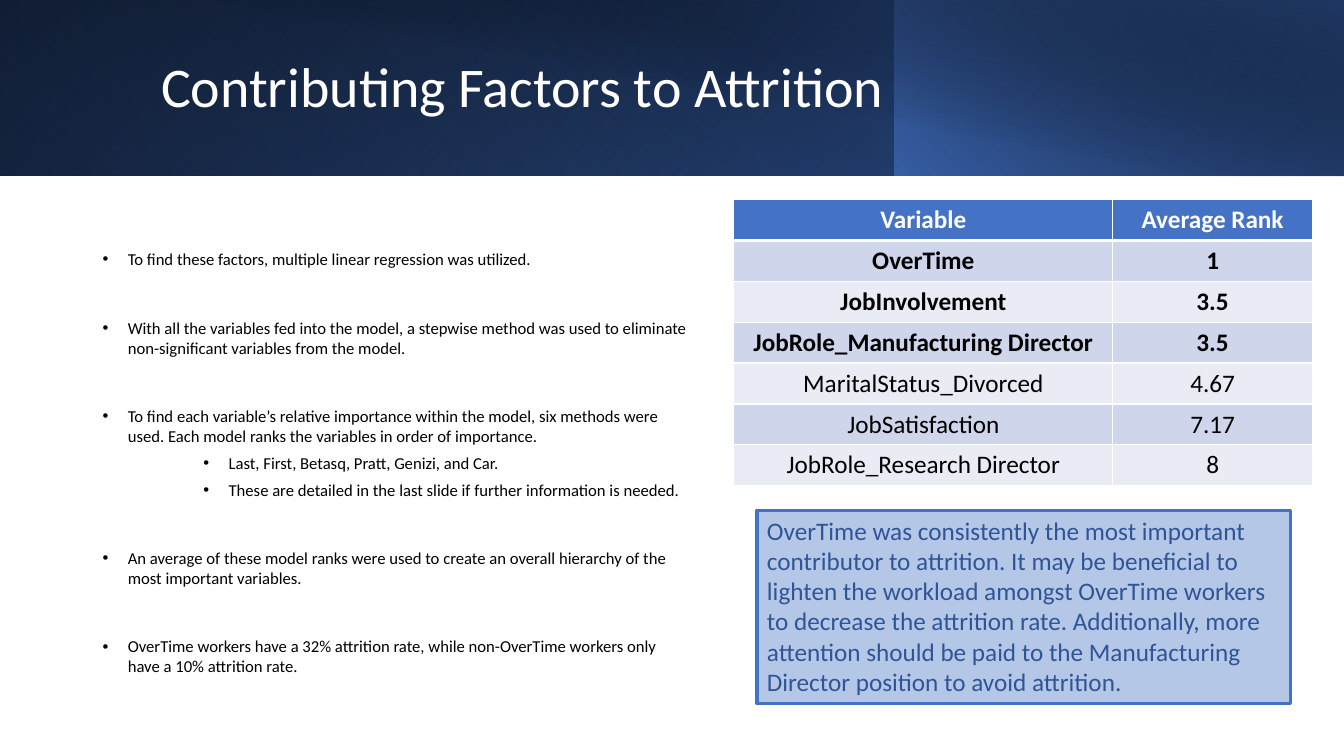
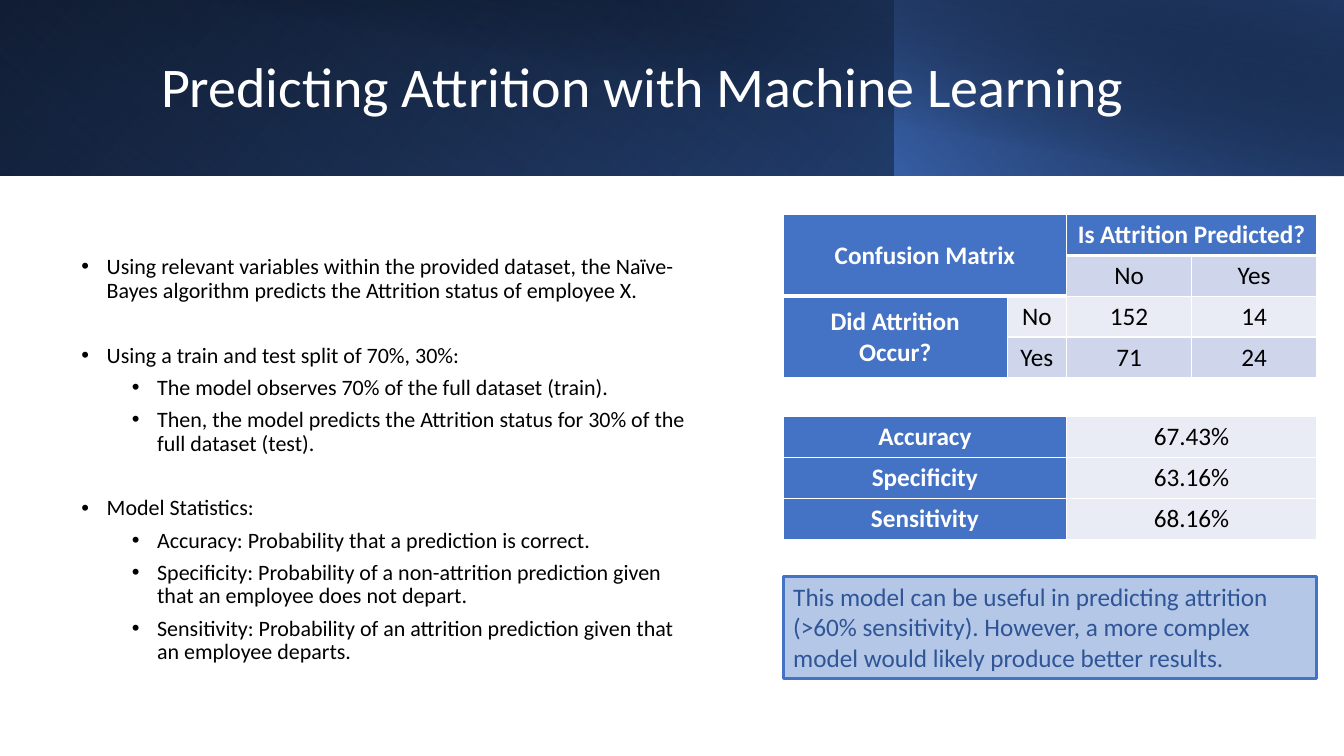
from lxml import etree
from pptx import Presentation
from pptx.dml.color import RGBColor
from pptx.enum.shapes import MSO_SHAPE
from pptx.enum.text import MSO_ANCHOR, MSO_AUTO_SIZE, PP_ALIGN
from pptx.oxml.ns import qn
from pptx.util import Inches, Pt

RECT = MSO_SHAPE.RECTANGLE
MIDDLE, TOP = MSO_ANCHOR.MIDDLE, MSO_ANCHOR.TOP
LEFT, CENTER = PP_ALIGN.LEFT, PP_ALIGN.CENTER
GROW = MSO_AUTO_SIZE.SHAPE_TO_FIT_TEXT
FONT = "Calibri"
C = {"white": "FFFFFF", "black": "000000", "blue": "4472C4", "deep": "2F5597",
     "navy": "203864", "pale": "B4C7E7", "dark_row": "CFD5EA", "light_row": "E9EBF5"}

# Boxes are left, top, width, height in percent of the slide.
# Each band: box, rotation, flip, gradient angle, stops (position, colour, opacity).
BANDS = [
    ((0, 0, 100, 23.2), 0, True, 140, [(0, "black", 100), (100, "deep", 100)]),
    ((0, 0, 66.6, 23.2), 180, True, 230, [(20, "blue", 0), (100, "navy", 55)]),
    ((66.53, 0, 33.47, 23.2), 0, True, 220, [(0, "blue", 66), (100, "black", 30)]),
    ((3.75, 0, 96.25, 23.33), 0, False, 280, [(50, "black", 0), (99, "navy", 52)]),
]
TITLE_BOX = (11.25, 4.27, 81.15, 15.07)

# Cell kinds: fill, text colour, bold.
# H = header with a thick rule, S = side header, D/L = bold rows, d/l = plain rows.
KINDS = {"H": ("blue", "white", True), "S": ("blue", "white", True),
         "D": ("dark_row", "black", True), "L": ("light_row", "black", True),
         "d": ("dark_row", "black", False), "l": ("light_row", "black", False)}


def rgb(name):
    """Return the named colour."""
    return RGBColor.from_string(C[name])


def add_xml(parent, tag, **attrs):
    """Append a drawing element and return it."""
    return etree.SubElement(parent, qn(tag), {k: str(v) for k, v in attrs.items()})


def write(p, text, size=18, color="black", bold=False, align=LEFT,
          line=None, before=0, after=0):
    """Put formatted text into a paragraph."""
    p.alignment = align
    p.space_before, p.space_after = Pt(before), Pt(after)
    if line:
        p.line_spacing = line
    r = p.add_run()
    r.text = text
    r.font.name, r.font.size, r.font.bold = FONT, Pt(size), bold
    r.font.color.rgb = rgb(color)


def bullet(p, margin):
    """Give a paragraph a hanging round bullet."""
    pPr = p._p.get_or_add_pPr()
    pPr.set("marL", str(Inches(margin)))
    pPr.set("indent", str(Inches(-0.25)))
    add_xml(pPr, "a:buFont", typeface="Arial")
    add_xml(pPr, "a:buChar", char="•")


def border(cell, top, bottom):
    """Draw white cell borders, with top and bottom widths in points."""
    tcPr = cell._tc.get_or_add_tcPr()
    for side, width in (("L", 1), ("R", 1), ("T", top), ("B", bottom)):
        ln = add_xml(tcPr, "a:ln" + side, w=Pt(width))
        add_xml(add_xml(ln, "a:solidFill"), "a:srgbClr", val=C["white"])


class Deck:
    """Holds the shared style and the current slide."""

    def __init__(self):
        """Start a widescreen presentation."""
        self.prs = Presentation()
        self.prs.slide_width, self.prs.slide_height = Inches(13.33), Inches(7.5)
        self.s = None

    def box(self, left, top, width, height):
        """Turn percentages of the slide into lengths."""
        w, h = self.prs.slide_width, self.prs.slide_height
        return [round(n * full / 100)
                for n, full in ((left, w), (top, h), (width, w), (height, h))]

    def slide(self, title):
        """Add a slide with its gradient band and title."""
        self.s = self.prs.slides.add_slide(self.prs.slide_layouts[6])
        for band in BANDS:
            self.band(*band)
        tf = self.text_frame(TITLE_BOX)
        write(tf.paragraphs[0], title, size=40, color="white", line=0.9)

    def band(self, box, rotation, flip, angle, stops):
        """Add a gradient rectangle."""
        sp = self.s.shapes.add_shape(RECT, *self.box(*box))
        sp.rotation = rotation
        sp.shadow.inherit = False
        sp.line.fill.background()
        spPr = sp._element.spPr
        if flip:
            spPr.find(qn("a:xfrm")).set("flipH", "1")
        grad = etree.Element(qn("a:gradFill"), rotWithShape="1")
        gs_list = add_xml(grad, "a:gsLst")
        for position, color, opacity in stops:
            gs = add_xml(gs_list, "a:gs", pos=position * 1000)
            clr = add_xml(gs, "a:srgbClr", val=C[color])
            if opacity < 100:
                add_xml(clr, "a:alpha", val=opacity * 1000)
        add_xml(grad, "a:lin", ang=angle * 60000, scaled=0)
        spPr.find(qn("a:prstGeom")).addnext(grad)

    def text_frame(self, box):
        """Add a wrapping, vertically centred text box."""
        tf = self.s.shapes.add_textbox(*self.box(*box)).text_frame
        tf.word_wrap = True
        tf.vertical_anchor = MIDDLE
        return tf

    def bullets(self, box, items, size, margins, before, gap, after=0, line=None):
        """Add bullets from (level, text); a gap parts the top-level items."""
        tf = self.text_frame(box)
        for i, (level, text) in enumerate(items):
            p = tf.add_paragraph() if i else tf.paragraphs[0]
            p.level = level
            extra = gap if i and level == 0 else 0
            write(p, text, size=size, before=before[level] + extra,
                  after=after, line=line)
            bullet(p, margins[level])

    def table(self, box, widths, kinds, rows, merges=()):
        """Add a table; kinds holds one letter per cell."""
        left, top, width, height = self.box(*box)
        table = self.s.shapes.add_table(len(rows), len(widths), left, top,
                                        width, height).table
        table.first_row = table.horz_banding = False
        for column, share in zip(table.columns, widths):
            column.width = round(width * share / sum(widths))
        for r, row in enumerate(rows):
            for c, text in enumerate(row):
                cell, kind = table.cell(r, c), kinds[r][c]
                fill, color, bold = KINDS[kind]
                under_header = r and kinds[r - 1][c] == "H"
                border(cell, 3 if under_header else 1, 3 if kind == "H" else 1)
                cell.fill.solid()
                cell.fill.fore_color.rgb = rgb(fill)
                if text:
                    write(cell.text_frame.paragraphs[0], text, color=color,
                          bold=bold, align=CENTER)
        for first, last in merges:
            table.cell(*first).merge(table.cell(*last))
            table.cell(*first).vertical_anchor = MIDDLE

    def note(self, box, text):
        """Add a pale framed conclusion."""
        sp = self.s.shapes.add_shape(RECT, *self.box(*box))
        sp.shadow.inherit = False
        sp.fill.solid()
        sp.fill.fore_color.rgb = rgb("pale")
        sp.line.color.rgb = rgb("blue")
        sp.line.width = Pt(2.25)
        tf = sp.text_frame
        tf.word_wrap, tf.auto_size, tf.vertical_anchor = True, GROW, TOP
        write(tf.paragraphs[0], text, color="deep")


def factors(deck):
    """Build the slide on contributing factors."""
    deck.slide("Contributing Factors to Attrition")
    deck.bullets((6.9, 30, 45.3, 62.4), [
        (0, "To find these factors, multiple linear regression was utilized."),
        (0, "With all the variables fed into the model, a stepwise method was used "
            "to eliminate non-significant variables from the model."),
        (0, "To find each variable’s relative importance within the model, six "
            "methods were used. Each model ranks the variables in order of "
            "importance."),
        (1, "Last, First, Betasq, Pratt, Genizi, and Car."),
        (1, "These are detailed in the last slide if further information is needed."),
        (0, "An average of these model ranks were used to create an overall "
            "hierarchy of the most important variables."),
        (0, "OverTime workers have a 32% attrition rate, while non-OverTime workers "
            "only have a 10% attrition rate."),
    ], size=11.9, margins=(0.25, 1.25), before=(10, 5), gap=24.5)
    deck.table((54.6, 26.4, 43.05, 37.87), (3.76, 1.98),
               ("HH", "DD", "LL", "DD", "ll", "dd", "ll"), [
        ("Variable", "Average Rank"),
        ("OverTime", "1"),
        ("JobInvolvement", "3.5"),
        ("JobRole_Manufacturing Director", "3.5"),
        ("MaritalStatus_Divorced", "4.67"),
        ("JobSatisfaction", "7.17"),
        ("JobRole_Research Director", "8"),
    ])
    deck.note((56.33, 67.47, 39.68, 25.6),
              "OverTime was consistently the most important contributor to "
              "attrition. It may be beneficial to lighten the workload amongst "
              "OverTime workers to decrease the attrition rate. Additionally, more "
              "attention should be paid to the Manufacturing Director position to "
              "avoid attrition.")


def prediction(deck):
    """Build the slide on predicting attrition."""
    left, width = 58.28, 39.68
    deck.slide("Predicting Attrition with Machine Learning")
    deck.bullets((4.88, 30.93, 47.03, 59.87), [
        (0, "Using relevant variables within the provided dataset, the Naïve-Bayes "
            "algorithm predicts the Attrition status of employee X."),
        (0, "Using a train and test split of 70%, 30%:"),
        (1, "The model observes 70% of the full dataset (train)."),
        (1, "Then, the model predicts the Attrition status for 30% of the full "
            "dataset (test)."),
        (0, "Model Statistics:"),
        (1, "Accuracy: Probability that a prediction is correct."),
        (1, "Specificity: Probability of a non-attrition prediction given that an "
            "employee does not depart."),
        (1, "Sensitivity: Probability of an attrition prediction given that an "
            "employee departs."),
    ], size=15.7, margins=(0.31, 0.81), before=(0, 0), gap=23.2, after=6, line=0.9)
    deck.table((left, 55.07, width, 16.27), (2.81, 2.48), ("Sl",) * 3, [
        ("Accuracy", "67.43%"),
        ("Specificity", "63.16%"),
        ("Sensitivity", "68.16%"),
    ])
    deck.table((left, 28.4, width, 21.6), (2.22, 0.59, 1.24, 1.24),
               ("HHHH", "HHdd", "Slll", "Sddd"), [
        ("Confusion Matrix", "", "Is Attrition Predicted?", ""),
        ("", "", "No", "Yes"),
        ("Did Attrition Occur?", "No", "152", "14"),
        ("", "Yes", "71", "24"),
    ], merges=[((0, 0), (1, 1)), ((0, 2), (0, 3)), ((2, 0), (3, 0))])
    deck.note((left, 76.27, width, 13.47),
              "This model can be useful in predicting attrition (>60% sensitivity). "
              "However, a more complex model would likely produce better results.")


deck = Deck()
factors(deck)
prediction(deck)
deck.prs.save("out.pptx")
